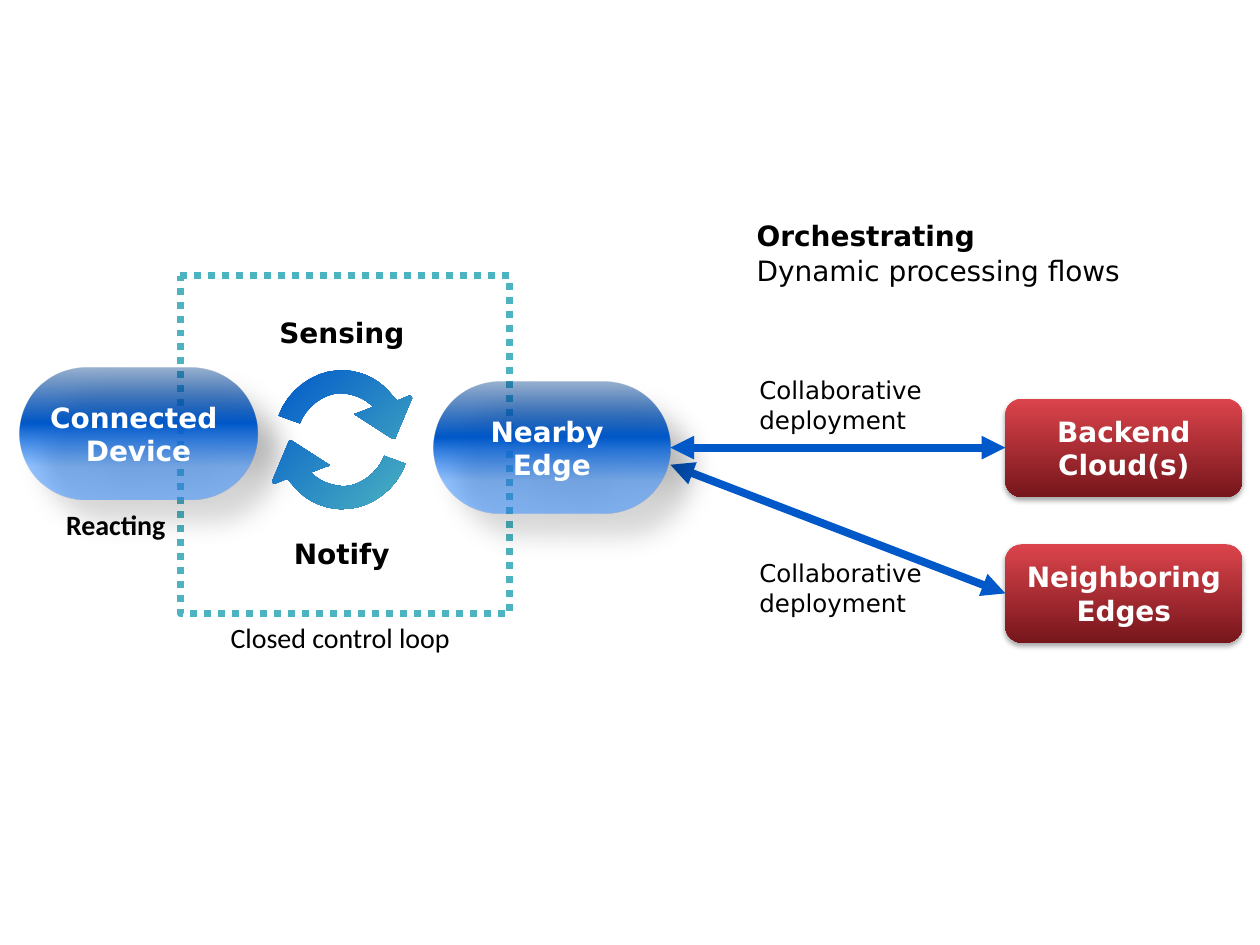
"""Build the slide on edge processing: control loop and collaborative deployment."""
from lxml import etree
from pptx import Presentation
from pptx.dml.color import RGBColor
from pptx.enum.dml import MSO_LINE
from pptx.enum.shapes import MSO_CONNECTOR, MSO_SHAPE
from pptx.enum.text import MSO_ANCHOR, PP_ALIGN
from pptx.oxml import parse_xml
from pptx.oxml.ns import nsdecls, qn
from pptx.util import Pt

ROUNDED, PROCESS = MSO_SHAPE.ROUNDED_RECTANGLE, MSO_SHAPE.FLOWCHART_PROCESS
STRAIGHT, DOTTED = MSO_CONNECTOR.STRAIGHT, MSO_LINE.ROUND_DOT
LEFT, CENTER = PP_ALIGN.LEFT, PP_ALIGN.CENTER
TOP, MIDDLE = MSO_ANCHOR.TOP, MSO_ANCHOR.MIDDLE

SANS, HUMANIST = "DejaVu Sans", "Calibri"
BLACK, WHITE, BLUE, TEAL = "000000", "FFFFFF", "0058C9", "4CB3C0"
LOOP_FRAME = (103, 157.7, 188, 193)
NODE_WIDTH = 135.4

PILL = dict(height=75.6, rounding=0.5, wrap=False,
            stops=[(25, "318BFF", 52), (58, BLUE, 100), (100, "003D8B", 40)],
            angle=270, shadow=(30, 15, 18, 45))
CARD = dict(height=56.2, rounding=0.1667, wrap=True,
            stops=[(0, "DC444C", 100), (100, "76161B", 100)],
            angle=90, shadow=(35, 3.1, 1.8, 90))
DEVICE = ("Connected \nDevice", 11.5, 210)
NEARBY_EDGE = ("Nearby \nEdge", 247.7, 218)
REMOTES = [("Backend\nCloud(s)", 574.5, 227.8), ("Neighboring\nEdges", 574.5, 311)]

LABELS = [
    ("Sensing", (152.6, 176.6, 86.4, 26.6), dict(bold=True)),
    ("Notify", (160.8, 303, 69, 26.6), dict(bold=True)),
    ("Orchestrating", (425.3, 121.5, 140, 26.6), dict(bold=True)),
    ("Dynamic processing flows", (425.3, 141.4, 224.6, 26.6), {}),
    ("Closed control loop", (124.7, 350.8, 141, 26.6), dict(font=HUMANIST)),
    ("Reacting", (30.7, 286.4, 72, 26.6), dict(font=HUMANIST, bold=True)),
    ("Collaborative\ndeployment", (426.8, 210.8, 112.4, 41.2), dict(size=14)),
    ("Collaborative\ndeployment", (426.8, 315.5, 112.4, 41.2), dict(size=14)),
]
LINK_TO_NEIGHBORS = (383.1, 265.6, 574.5, 339.1)
LINK_TO_CLOUD = (383.1, 255.8, 574.5, 255.8)

CYCLE_CENTER = (195.5, 251.3)
ARROW_START = (231.8, 265)
ARROW_SEGMENTS = [
    [(226.8, 279.4), (212.4, 290.2), (198, 290.9)],
    [(187.2, 291.6), (176.4, 287.3), (169.2, 279.4)],
    [(164.2, 273.6)],
    [(157, 276.5)],
    [(156.2, 276.5), (155.5, 275.8), (155.5, 275)],
    [(164.9, 252.7)],
    [(164.9, 252), (166.3, 251.3), (167, 252)],
    [(187.2, 265)],
    [(188.6, 265.7), (188.6, 266.4), (187.2, 266.4)],
    [(177.8, 270)],
    [(182.2, 275), (190.1, 277.9), (197.3, 277.9)],
    [(206.6, 277.2), (216, 270), (219.6, 260.6)],
]
CURVE_STEPS = 8


def color(value):
    return RGBColor.from_string(value)


def write(shape, text, font=SANS, size=16, ink=BLACK, bold=False,
          align=LEFT, anchor=TOP, wrap=False):
    frame = shape.text_frame
    frame.text = text
    frame.word_wrap = wrap
    frame.vertical_anchor = anchor
    for paragraph in frame.paragraphs:
        paragraph.alignment = align
        for run in paragraph.runs:
            run.font.name, run.font.size, run.font.bold = font, Pt(size), bold
            run.font.color.rgb = color(ink)


def fill_gradient(shape, stops, direction):
    shape.fill.background()
    marks = "".join(
        f'<a:gs pos="{place * 1000}"><a:srgbClr val="{tone}">'
        f'<a:alpha val="{opacity * 1000}"/></a:srgbClr></a:gs>'
        for place, tone, opacity in stops)
    gradient = parse_xml(f'<a:gradFill {nsdecls("a")} rotWithShape="1">'
                         f'<a:gsLst>{marks}</a:gsLst>{direction}</a:gradFill>')
    properties = shape._element.spPr
    properties.replace(properties.find(qn("a:noFill")), gradient)


def add_shadow(shape, opacity, blur, distance, angle):
    shape.shadow.inherit = False
    effects = shape._element.spPr.find(qn("a:effectLst"))
    effects.append(parse_xml(
        f'<a:outerShdw {nsdecls("a")} blurRad="{Pt(blur)}" dist="{Pt(distance)}" '
        f'dir="{angle * 60000}" algn="ctr" rotWithShape="0"><a:srgbClr val="{BLACK}">'
        f'<a:alpha val="{opacity * 1000}"/></a:srgbClr></a:outerShdw>'))


def add_node(shapes, text, left, top, style):
    node = shapes.add_shape(ROUNDED, Pt(left), Pt(top), Pt(NODE_WIDTH), Pt(style["height"]))
    node.adjustments[0] = style["rounding"]
    fill_gradient(node, style["stops"], f'<a:lin ang="{style["angle"] * 60000}" scaled="0"/>')
    node.line.fill.background()
    add_shadow(node, *style["shadow"])
    write(node, text, ink=WHITE, bold=True, align=CENTER, anchor=MIDDLE, wrap=style["wrap"])


def add_link(shapes, ends):
    link = shapes.add_connector(STRAIGHT, *map(Pt, ends))
    link.line.color.rgb = color(BLUE)
    link.line.width = Pt(4.5)
    outline = link.line._get_or_add_ln()
    for end in ("a:headEnd", "a:tailEnd"):
        etree.SubElement(outline, qn(end), type="triangle")
    etree.SubElement(link._element.spPr, qn("a:effectLst"))


def bezier(controls, t):
    weights = ((1 - t) ** 3, 3 * t * (1 - t) ** 2, 3 * t * t * (1 - t), t ** 3)
    return tuple(sum(w * point[axis] for w, point in zip(weights, controls)) for axis in (0, 1))


def arrow_outline():
    points = [ARROW_START]
    for segment in ARROW_SEGMENTS:
        if len(segment) == 1:
            points += segment
        else:
            controls = [points[-1], *segment]
            points += [bezier(controls, step / CURVE_STEPS) for step in range(1, CURVE_STEPS + 1)]
    return points


def add_cycle(shapes):
    lower = arrow_outline()
    upper = [(2 * CYCLE_CENTER[0] - x, 2 * CYCLE_CENTER[1] - y) for x, y in lower]
    lower, upper = ([(Pt(x), Pt(y)) for x, y in arrow] for arrow in (lower, upper))
    builder = shapes.build_freeform(*lower[0])
    builder.add_line_segments(lower[1:], close=True)
    builder.move_to(*upper[0])
    builder.add_line_segments(upper[1:], close=True)
    cycle = builder.convert_to_shape()
    fill_gradient(cycle, [(0, TEAL, 100), (100, BLUE, 100)],
                  '<a:path path="circle"><a:fillToRect l="100000" t="100000"/></a:path>')
    cycle.line.fill.background()
    cycle.shadow.inherit = False


def main():
    deck = Presentation()
    deck.slide_width, deck.slide_height = Pt(720), Pt(540)
    shapes = deck.slides.add_slide(deck.slide_layouts[6]).shapes

    loop = shapes.add_shape(PROCESS, *map(Pt, LOOP_FRAME))
    loop.fill.background()
    loop.line.color.rgb = color(TEAL)
    loop.line.width = Pt(4)
    loop.line.dash_style = DOTTED
    loop.shadow.inherit = False

    add_node(shapes, *DEVICE, PILL)
    for remote in REMOTES:
        add_node(shapes, *remote, CARD)
    add_link(shapes, LINK_TO_NEIGHBORS)
    for text, place, style in LABELS:
        write(shapes.add_textbox(*map(Pt, place)), text, **style)
    add_node(shapes, *NEARBY_EDGE, PILL)
    add_cycle(shapes)
    add_link(shapes, LINK_TO_CLOUD)
    deck.save("out.pptx")


if __name__ == "__main__":
    main()
